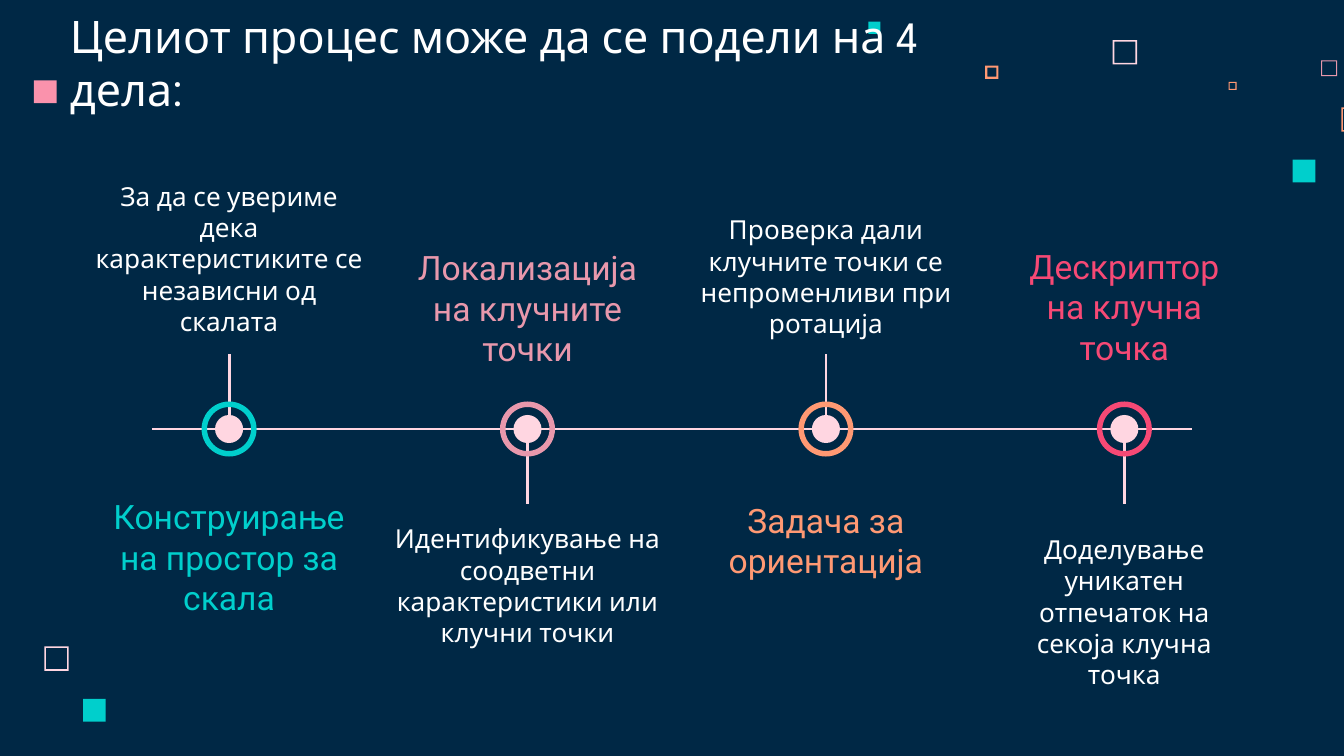
from lxml import etree
from pptx import Presentation
from pptx import util as u
from pptx.dml.color import RGBColor
from pptx.enum import shapes, text
from pptx.oxml.ns import qn

# Content; all lengths in centimetres
NAVY, WHITE, BLUSH = "002845", "FFFFFF", "FFD6E1"
TEAL, ROSE, ORANGE, RED, PINK = "00CFCC", "E898AC", "FF9973", "F64975", "FA92AC"
BODY, HEAD = "League Spartan", "Roboto"
TOP, MIDDLE, BOTTOM = (text.MSO_ANCHOR.TOP, text.MSO_ANCHOR.MIDDLE,
                       text.MSO_ANCHOR.BOTTOM)

TITLE = [("Целиот процес може да се подели на 4 дела", BODY), (":", HEAD)]

# left, top, side, border (None = solid), colour
SQUARES = [
    (21.03, 0.76, 0.46, 0.03, BLUSH),
    (24.97, 1.14, 0.30, 0.02, ROSE),
    (23.22, 1.55, 0.15, 0.02, ORANGE),
    (25.35, 2.03, 0.46, 0.03, ORANGE),
    (24.43, 3.02, 0.43, None, TEAL),
    (18.62, 1.24, 0.25, 0.04, ORANGE),
    (16.41, 0.41, 0.23, None, TEAL),
    (0.84, 12.22, 0.46, 0.03, BLUSH),
    (1.57, 13.21, 0.43, None, TEAL),
]
TITLE_SQUARE = (0.64, 1.52, 0.43, None, PINK)

# colour, (name, top, width, height), (description, top, width, height)
STEPS = [
    (TEAL, ("Конструирање на простор за скала", 9.42, 5.23, 2.21),
     ("За да се увериме дека карактеристиките се независни од скалата",
      4.72, 5.77, 1.9)),
    (ROSE, ("Локализација на клучните точки", 4.34, 5.05, 2.95),
     ("Идентификување на соодветни карактеристики или клучни точки",
      9.63, 6.38, 2.72)),
    (ORANGE, ("Задача за ориентација", 8.92, 4.83, 2.59),
     ("Проверка дали клучните точки се непроменливи при ротација",
      3.89, 5.87, 2.77)),
    (RED, ("Дескриптор на клучна точка", 4.5, 4.83, 2.59),
     ("Доделување уникатен отпечаток на секоја клучна точка",
      9.83, 5.23, 2.77)),
]
FIRST_X, STEP_X, AXIS_Y = 4.33, 5.64, 8.11
AXIS_LEFT, AXIS_RIGHT = 2.87, 22.53
STEM_NEAR, STEM_FAR = 0.16, 1.42
DOT, RING = 0.53, 1.04


def color(hex_code):
    return RGBColor.from_string(hex_code)


def add_filled(parent, kind, left, top, side, fill, adj=None):
    sp = parent.add_shape(kind, u.Cm(left), u.Cm(top), u.Cm(side), u.Cm(side))
    sp.shadow.inherit = False
    sp.fill.solid()
    sp.fill.fore_color.rgb = color(fill)
    sp.line.fill.background()
    if adj is not None:
        sp.adjustments[0] = adj


def add_square(left, top, side, border, fill):
    if border is None:
        add_filled(s.shapes, shapes.MSO_SHAPE.RECTANGLE, left, top, side, fill)
    else:
        add_filled(s.shapes, shapes.MSO_SHAPE.FRAME, left, top, side, fill,
                   border / side)


def add_line(x1, y1, x2, y2):
    line = s.shapes.add_connector(shapes.MSO_CONNECTOR.STRAIGHT,
                                  u.Cm(x1), u.Cm(y1), u.Cm(x2), u.Cm(y2))
    line.line.color.rgb = color(BLUSH)
    line.line.width = u.Pt(1.5)
    etree.SubElement(line._element.spPr, qn("a:effectLst"))


def add_text(runs, left, top, width, height, size, fill, anchor, align):
    box = s.shapes.add_textbox(u.Cm(left), u.Cm(top), u.Cm(width), u.Cm(height))
    tf = box.text_frame
    tf.word_wrap = True
    tf.vertical_anchor = anchor
    tf.margin_left = tf.margin_right = u.Cm(0.25)
    tf.margin_top = tf.margin_bottom = u.Cm(0.25)
    p = tf.paragraphs[0]
    p.alignment = align
    p.font.size = u.Pt(size)
    p.font.color.rgb = color(fill)
    for words, font in runs:
        r = p.add_run()
        r.text = words
        r.font.size = u.Pt(size)
        r.font.color.rgb = color(fill)
        r.font.name = font


def add_label(label, x, font, size, fill, anchor):
    words, top, width, height = label
    add_text([(words, font)], x - width / 2, top, width, height, size, fill,
             anchor, text.PP_ALIGN.CENTER)


prs = Presentation()
prs.slide_width, prs.slide_height = u.Cm(25.4), u.Cm(14.29)
s = prs.slides.add_slide(prs.slide_layouts[6])
s.background.fill.solid()
s.background.fill.fore_color.rgb = color(NAVY)

# Scattered squares
for square in SQUARES:
    add_square(*square)

# Stems alternate above and below the axis
centers = [FIRST_X + i * STEP_X for i in range(len(STEPS))]
for i, x in enumerate(centers):
    side = 1 if i % 2 else -1
    add_line(x, AXIS_Y + side * STEM_NEAR, x, AXIS_Y + side * STEM_FAR)
add_line(AXIS_LEFT, AXIS_Y, AXIS_RIGHT, AXIS_Y)

# Markers: dot inside a ring
for x, (accent, _, _) in zip(centers, STEPS):
    marker = s.shapes.add_group_shape().shapes
    add_filled(marker, shapes.MSO_SHAPE.OVAL, x - DOT / 2, AXIS_Y - DOT / 2,
               DOT, BLUSH)
    add_filled(marker, shapes.MSO_SHAPE.DONUT, x - RING / 2, AXIS_Y - RING / 2,
               RING, accent, 0.1)

# Step names and descriptions
for i, (x, (accent, name, description)) in enumerate(zip(centers, STEPS)):
    add_label(description, x, BODY, 14, WHITE, TOP if i % 2 else BOTTOM)
    add_label(name, x, HEAD, 18, accent, MIDDLE)

# Title
add_text(TITLE, 1.07, 0.89, 18.69, 1.55, 24, WHITE, BOTTOM, text.PP_ALIGN.LEFT)
add_square(*TITLE_SQUARE)

prs.save("out.pptx")
